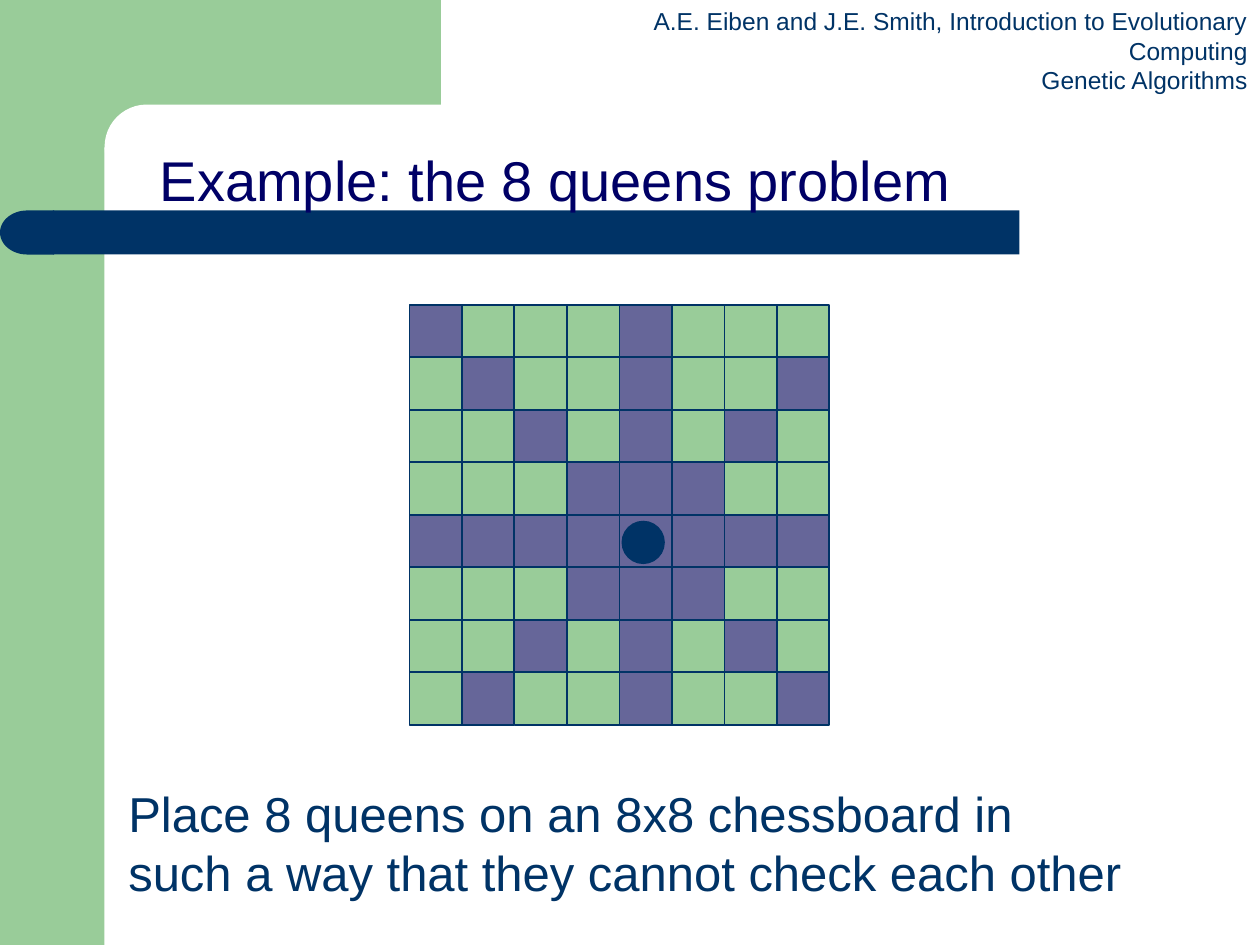
from dataclasses import dataclass

from pptx import Presentation
from pptx.dml.color import RGBColor
from pptx.enum.shapes import MSO_SHAPE
from pptx.enum.text import MSO_ANCHOR, PP_ALIGN
from pptx.util import Inches, Pt

RECTANGLE = MSO_SHAPE.RECTANGLE
ROUNDED = MSO_SHAPE.ROUNDED_RECTANGLE
DELAY = MSO_SHAPE.FLOWCHART_DELAY
ELLIPSE = MSO_SHAPE.OVAL
LEFT, RIGHT = PP_ALIGN.LEFT, PP_ALIGN.RIGHT
TOP, MIDDLE = MSO_ANCHOR.TOP, MSO_ANCHOR.MIDDLE


@dataclass(frozen=True)
class Theme:
    font: str = "Arial"
    green: str = "99CC99"
    white: str = "FFFFFF"
    navy: str = "003366"
    purple: str = "666699"
    title_blue: str = "000066"
    header_size: int = 14
    body_size: int = 28
    title_size: int = 32
    line_width: int = 1


@dataclass(frozen=True)
class Frame:
    left: float
    top: float
    width: float
    height: float

    def lengths(self) -> tuple:
        return tuple(map(Inches, (self.left, self.top, self.width, self.height)))


@dataclass(frozen=True)
class Block:
    frame: Frame
    kind: MSO_SHAPE
    fill: str
    line: str = ""
    corner: float | None = None
    rotation: int = 0


@dataclass(frozen=True)
class TextBlock:
    frame: Frame
    lines: tuple[str, ...]
    size: int
    color: str
    align: PP_ALIGN = LEFT
    anchor: MSO_ANCHOR = TOP
    spacing: float = 1.0


THEME = Theme()

# Green frame, white rounded panel and title bar
BACKDROP = (
    Block(Frame(0, 0, 0.83, 7.5), RECTANGLE, THEME.green),
    Block(Frame(0.75, 0, 2.75, 1.17), RECTANGLE, THEME.green),
    Block(Frame(0.83, 0.83, 5.58, 0.67), ROUNDED, THEME.white, corner=0.5),
    Block(Frame(0.42, 1.67, 7.67, 0.35), RECTANGLE, THEME.navy),
    Block(Frame(0, 1.67, 0.43, 0.35), DELAY, THEME.navy, rotation=180),
)

TEXTS = (
    TextBlock(Frame(4.12, 0, 5.88, 0.57),
              ("A.E. Eiben and J.E. Smith, Introduction to Evolutionary Computing",
               "Genetic Algorithms"),
              THEME.header_size, THEME.navy, align=RIGHT),
    TextBlock(Frame(0.92, 6.17, 8.21, 1.03),
              ("Place 8 queens on an 8x8 chessboard in",
               "such a way that they cannot check each other"),
              THEME.body_size, THEME.navy),
    TextBlock(Frame(1.17, 0.75, 6.56, 1.08),
              ("Example: the 8 queens problem",),
              THEME.title_size, THEME.title_blue, anchor=MIDDLE, spacing=1.5),
)

# Chessboard geometry
BOARD_SIZE = 8
BOARD_LEFT, BOARD_TOP = 3.25, 2.42
SQUARE = 5 / 12
QUEEN_ROW, QUEEN_COLUMN = 4, 4
QUEEN = Block(Frame(4.94, 4.14, 0.33, 0.33), ELLIPSE, THEME.navy, THEME.navy)


def draw_block(slide, block: Block) -> None:
    shape = slide.shapes.add_shape(block.kind, *block.frame.lengths())
    shape.shadow.inherit = False
    shape.rotation = block.rotation
    shape.fill.solid()
    shape.fill.fore_color.rgb = RGBColor.from_string(block.fill)
    if block.corner is not None:
        shape.adjustments[0] = block.corner
    if block.line:
        shape.line.color.rgb = RGBColor.from_string(block.line)
        shape.line.width = Pt(THEME.line_width)
    else:
        shape.line.fill.background()


def draw_text(slide, block: TextBlock) -> None:
    box = slide.shapes.add_textbox(*block.frame.lengths())
    frame = box.text_frame
    frame.word_wrap = True
    frame.vertical_anchor = block.anchor
    frame.text = "\n".join(block.lines)
    for para in frame.paragraphs:
        para.alignment = block.align
        para.line_spacing = block.spacing
        for span in para.runs:
            span.font.name = THEME.font
            span.font.size = Pt(block.size)
            span.font.color.rgb = RGBColor.from_string(block.color)


def is_attacked(row: int, column: int) -> bool:
    down, across = abs(row - QUEEN_ROW), abs(column - QUEEN_COLUMN)
    return down == 0 or across == 0 or down == across


def draw_board(slide) -> None:
    for row in range(BOARD_SIZE):
        for column in range(BOARD_SIZE):
            frame = Frame(BOARD_LEFT + column * SQUARE,
                          BOARD_TOP + row * SQUARE, SQUARE, SQUARE)
            fill = THEME.purple if is_attacked(row, column) else THEME.green
            draw_block(slide, Block(frame, RECTANGLE, fill, THEME.navy))
    draw_block(slide, QUEEN)


def main() -> None:
    deck = Presentation()
    deck.slide_width, deck.slide_height = Inches(10), Inches(7.5)
    page = deck.slides.add_slide(deck.slide_layouts[6])
    for block in BACKDROP:
        draw_block(page, block)
    draw_board(page)
    for text in TEXTS:
        draw_text(page, text)
    deck.save("out.pptx")


if __name__ == "__main__":
    main()
